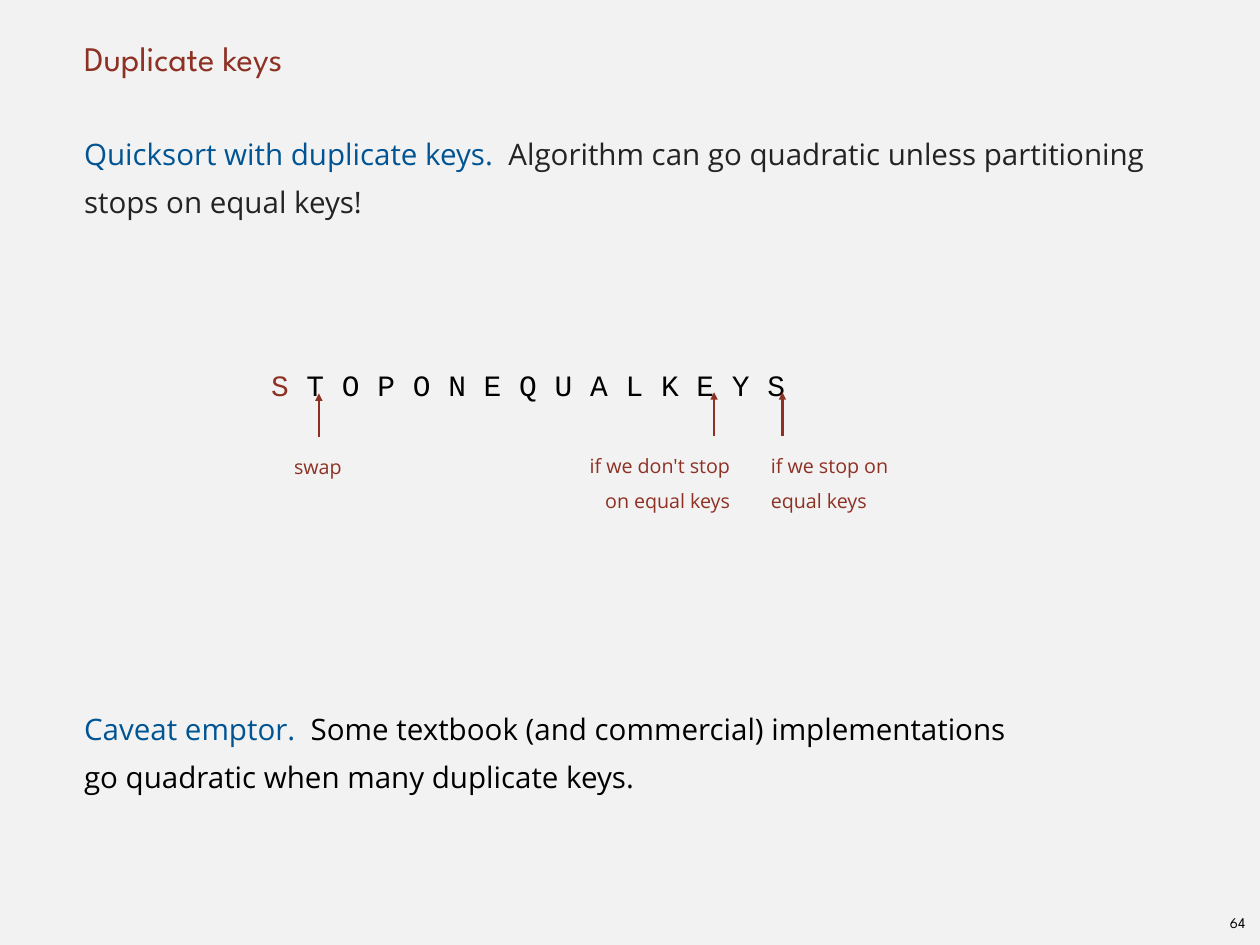
from lxml import etree
from pptx import Presentation
from pptx import util as u
from pptx.dml.color import RGBColor
from pptx.enum import shapes, text
from pptx.oxml import ns

RED, BLUE, DARK, BLACK, PAPER = "8D3124", "005493", "232323", "000000", "F2F2F2"
HEADING, PROSE, CODE = "League Spartan", "Open Sans", "Courier New"
INDENT = u.Cm(0.15)
MARKERS = [
    ("swap", (8.28, 12.7, 2.06, 0.91), 9.14, text.PP_ALIGN.LEFT),
    ("if we don't stop on equal keys", (15.95, 12.67, 4.98, 1.88), 20.47, text.PP_ALIGN.RIGHT),
    ("if we stop on equal keys", (21.95, 12.67, 4.47, 1.88), 22.43, text.PP_ALIGN.LEFT),
]


def colour(value):
    return RGBColor.from_string(value)


def place(shape, box):
    shape.left, shape.top, shape.width, shape.height = (u.Cm(length) for length in box)


def prepare_frame(shape, anchor=text.MSO_ANCHOR.TOP):
    frame = shape.text_frame
    frame.margin_left = frame.margin_right = frame.margin_top = frame.margin_bottom = 0
    frame.auto_size = text.MSO_AUTO_SIZE.NONE
    frame.word_wrap = True
    frame.vertical_anchor = anchor
    return frame


def write(para, spans, font, size, spacing=1.0, align=text.PP_ALIGN.LEFT):
    properties = para._p.get_or_add_pPr()
    properties.set("marL", str(INDENT))
    properties.set("indent", "0")
    etree.SubElement(properties, ns.qn("a:buNone"))
    para.alignment = align
    para.line_spacing = spacing
    para.space_before = u.Pt(0)
    for words, ink in spans:
        for number, line in enumerate(words.split("\n")):
            if number:
                para.add_line_break()
            span = para.add_run()
            span.text = line
            span.font.name = font
            span.font.size = u.Pt(size)
            span.font.bold = False
            span.font.color.rgb = colour(ink)


def add_label(page, box, spans, font, size, spacing=1.5, align=text.PP_ALIGN.LEFT):
    label = page.shapes.add_textbox(*(u.Cm(length) for length in box))
    frame = prepare_frame(label)
    write(frame.paragraphs[0], spans, font, size, spacing, align)
    return frame


def add_title(page, box):
    place(page.shapes.title, box)
    frame = prepare_frame(page.shapes.title, text.MSO_ANCHOR.BOTTOM)
    write(frame.paragraphs[0], [("Duplicate keys", RED)], HEADING, 28)


def add_body(page, box):
    body = page.placeholders[1]
    place(body, box)
    frame = prepare_frame(body)
    line = u.Pt(39)
    write(frame.paragraphs[0], [
        ("Quicksort with duplicate keys.  ", BLUE),
        ("Algorithm can go quadratic unless partitioning stops on equal keys!", DARK),
    ], PROSE, 24, line)
    caveat = frame.add_paragraph()
    write(caveat, [
        ("Caveat emptor.  ", BLUE),
        ("Some textbook (and commercial) implementations\n"
         "go quadratic when many duplicate keys.", BLACK),
    ], PROSE, 24, line)
    caveat.space_before = 10 * line


def add_marker(page, words, box, arrow_left, align):
    add_label(page, box, [(words, RED)], PROSE, 16, align=align)
    label_top = box[1]
    arrow = page.shapes.add_connector(
        shapes.MSO_CONNECTOR.STRAIGHT,
        u.Cm(arrow_left), u.Cm(label_top - 1.42),
        u.Cm(arrow_left), u.Cm(label_top - 0.18))
    arrow.line.color.rgb = colour(RED)
    arrow.line.width = u.Pt(2)
    etree.SubElement(arrow.line._get_or_add_ln(), ns.qn("a:headEnd"), type="triangle")
    etree.SubElement(arrow._element.spPr, ns.qn("a:effectLst"))


def add_page_number(page, box):
    frame = add_label(page, box, [("64", BLACK)], HEADING, 12, 1.0, text.PP_ALIGN.CENTER)
    frame.paragraphs[0]._p.pPr.set("marL", "0")
    frame.vertical_anchor = text.MSO_ANCHOR.MIDDLE
    frame.word_wrap = False


def main():
    deck = Presentation()
    deck.slide_width, deck.slide_height = u.Cm(36.12), u.Cm(27.1)
    page = deck.slides.add_slide(deck.slide_layouts[1])
    page.background.fill.solid()
    page.background.fill.fore_color.rgb = colour(PAPER)
    add_page_number(page, (35.05, 26.04, 0.86, 0.81))
    add_title(page, (2.26, 0, 31.6, 2.26))
    add_body(page, (2.26, 3.53, 31.6, 22.58))
    add_label(page, (7.62, 10.01, 15.9, 1.27),
              [("S", RED), (" T O P O N E Q U A L K E Y S", BLACK)], CODE, 24)
    for marker in MARKERS:
        add_marker(page, *marker)
    deck.save("out.pptx")


if __name__ == "__main__":
    main()
